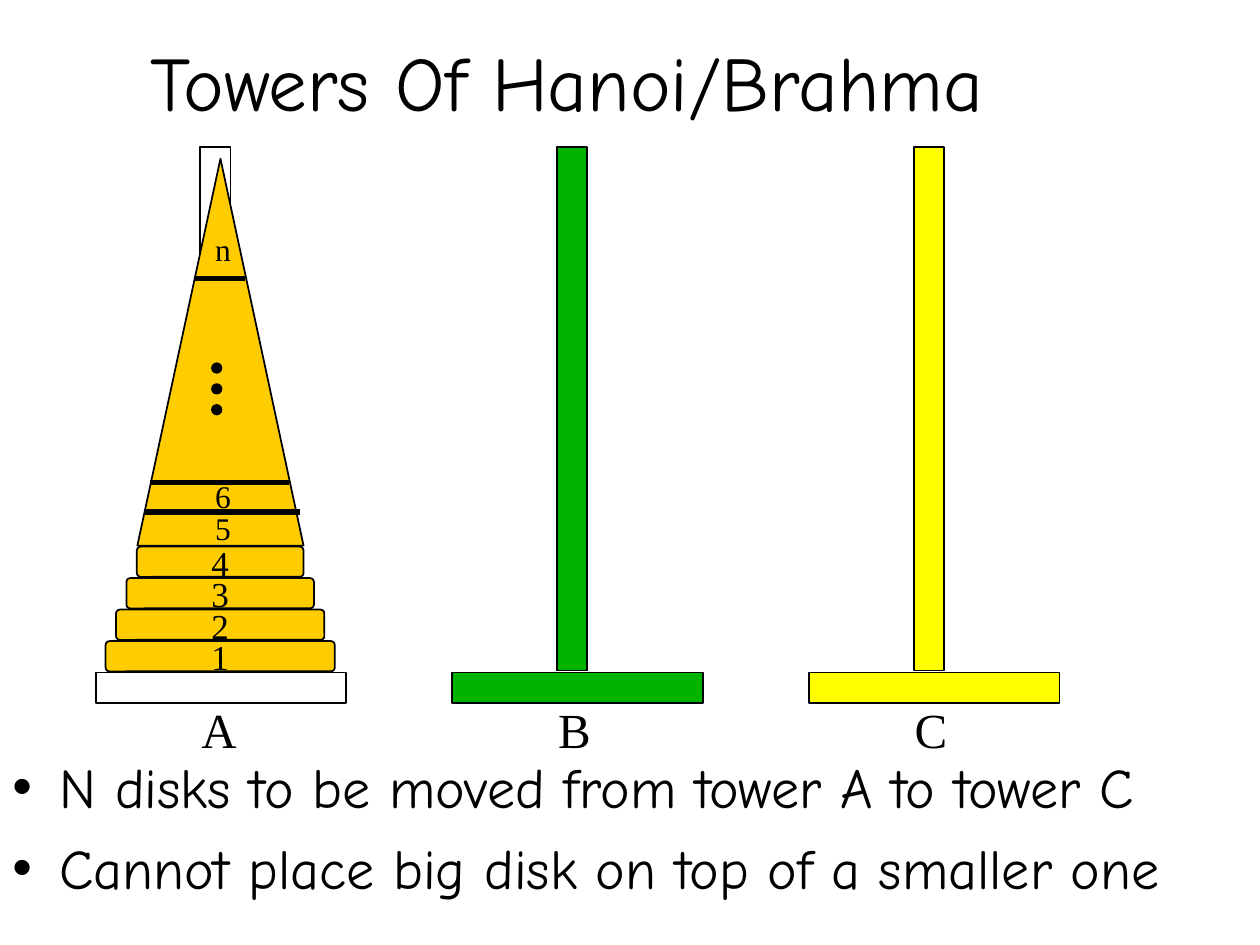
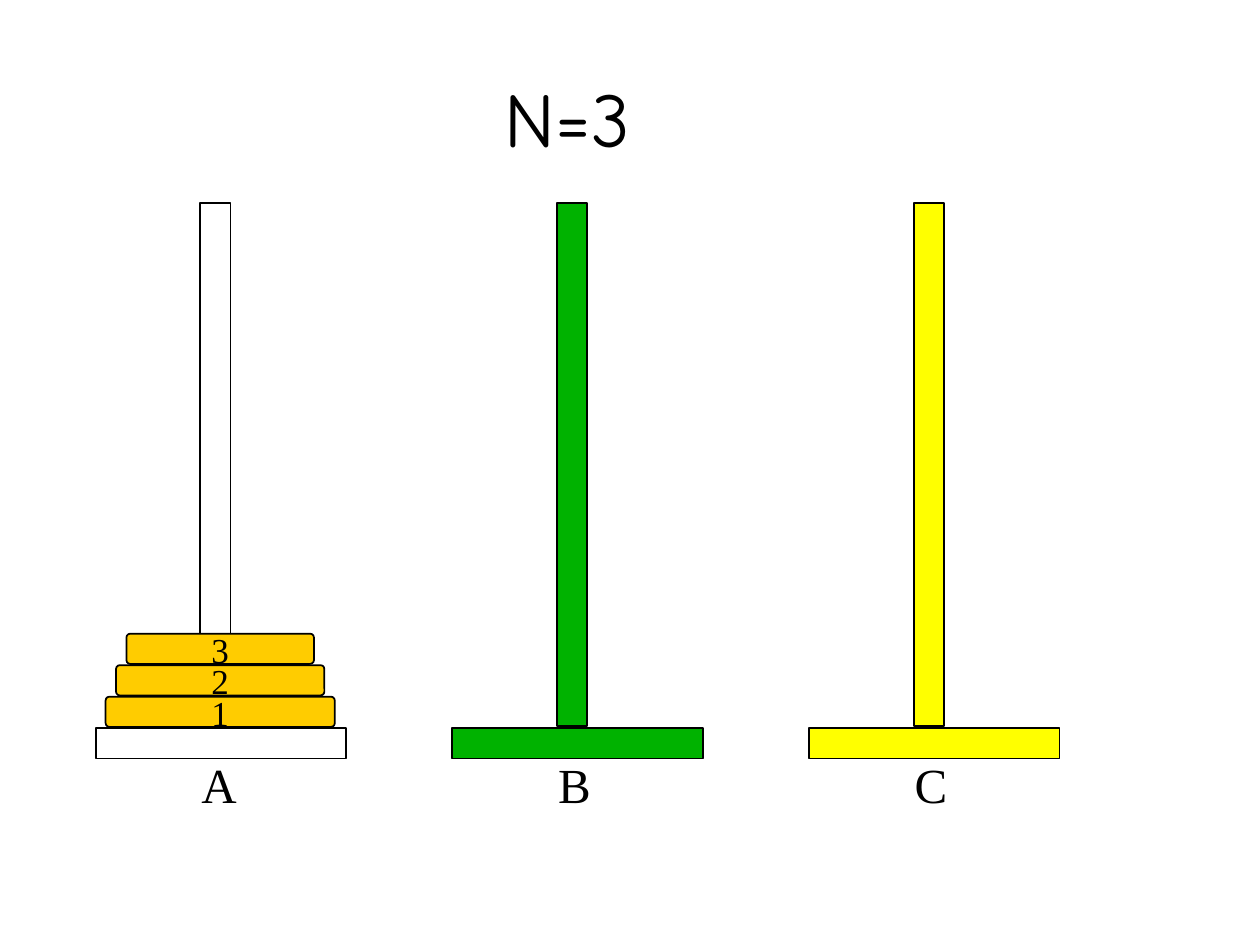
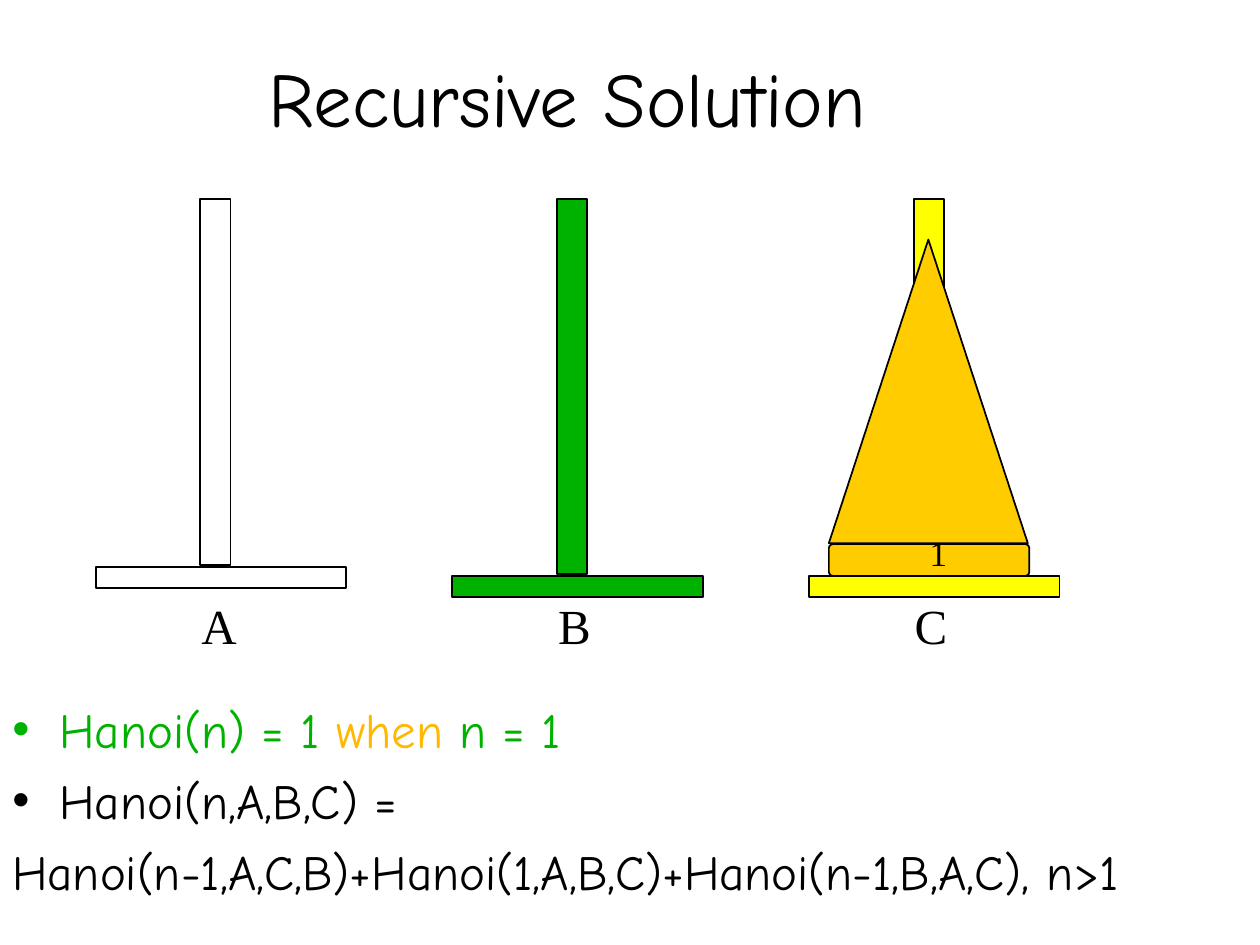
from lxml import etree
from pptx import Presentation
from pptx.dml.color import RGBColor
from pptx.enum.shapes import MSO_CONNECTOR, MSO_SHAPE
from pptx.enum.text import MSO_ANCHOR, PP_ALIGN
from pptx.oxml.ns import qn
from pptx.util import Cm, Pt

RECTANGLE = MSO_SHAPE.RECTANGLE
ROUNDED = MSO_SHAPE.ROUNDED_RECTANGLE
TRIANGLE = MSO_SHAPE.ISOSCELES_TRIANGLE
OVAL = MSO_SHAPE.OVAL
STRAIGHT = MSO_CONNECTOR.STRAIGHT
CENTER = PP_ALIGN.CENTER
TOP, BOTTOM = MSO_ANCHOR.TOP, MSO_ANCHOR.BOTTOM

BLACK = RGBColor(0x00, 0x00, 0x00)
WHITE = RGBColor(0xFF, 0xFF, 0xFF)
GREEN = RGBColor(0x00, 0xB2, 0x00)
YELLOW = RGBColor(0xFF, 0xFF, 0x00)
GOLD = RGBColor(0xFF, 0xCC, 0x00)
AMBER = RGBColor(0xFF, 0xB8, 0x00)

HAND_FONT = "Comic Neue"
LABEL_FONT = "Times New Roman"

TOWERS = (("A", WHITE), ("B", GREEN), ("C", YELLOW))
TOWER_LEFT, TOWER_PITCH = 1.93, 7.19
BASE_WIDTH, PEG_WIDTH = 5.05, 0.61
DISK_CENTER, DISK_HEIGHT, DISK_PITCH = 4.44, 0.61, 0.635


def add_figure(slide, kind, left, top, width, height, fill, line_width=1):
    """Draw a filled, black-outlined preset shape, measured in centimetres."""
    figure = slide.shapes.add_shape(kind, Cm(left), Cm(top), Cm(width), Cm(height))
    figure.shadow.inherit = False
    figure.fill.solid()
    figure.fill.fore_color.rgb = fill
    figure.line.color.rgb = BLACK
    figure.line.width = Pt(line_width)
    return figure


def add_frame(slide, left, top, width, height, anchor=TOP):
    """Place an empty wrapping text box and return its text frame."""
    frame = slide.shapes.add_textbox(Cm(left), Cm(top), Cm(width), Cm(height)).text_frame
    frame.word_wrap = True
    frame.vertical_anchor = anchor
    return frame


def set_font(font, name, size, color=BLACK):
    """Set typeface, point size and colour."""
    font.name = name
    font.size = Pt(size)
    font.color.rgb = color


def add_label(slide, text, left, top, width, height, size):
    """Write a short serif label."""
    paragraph = add_frame(slide, left, top, width, height).paragraphs[0]
    paragraph.text = text
    set_font(paragraph.font, LABEL_FONT, size)


def add_title(slide, text, height):
    """Write the slide title, resting on the bottom of its box."""
    paragraph = add_frame(slide, 1.9, 0.43, 19.08, height, BOTTOM).paragraphs[0]
    paragraph.text = text
    paragraph.alignment = CENTER
    set_font(paragraph.font, HAND_FONT, 44)


def add_bullet(paragraph):
    """Give a paragraph a hanging round bullet."""
    properties = paragraph._p.get_or_add_pPr()
    properties.set("marL", str(Cm(0.95)))
    properties.set("indent", str(-Cm(0.95)))
    etree.SubElement(properties, qn("a:buFont")).set("typeface", "Arial")
    etree.SubElement(properties, qn("a:buChar")).set("char", "•")


def add_body(slide, top, width, height, size, entries):
    """Write body paragraphs given as (bulleted, ((text, colour), ...))."""
    frame = add_frame(slide, 0, top, width, height)
    for index, (bulleted, pieces) in enumerate(entries):
        paragraph = frame.add_paragraph() if index else frame.paragraphs[0]
        if bulleted:
            add_bullet(paragraph)
        if index:
            paragraph.space_before = Pt(size / 4)
        set_font(paragraph.font, HAND_FONT, size, pieces[0][1])
        for text, color in pieces:
            run = paragraph.add_run()
            run.text = text
            if color != pieces[0][1]:
                run.font.color.rgb = color


def add_tower(slide, index, peg_top, base_top, base_height, label_top):
    """Draw one tower: base, peg and letter."""
    letter, color = TOWERS[index]
    left = TOWER_LEFT + index * TOWER_PITCH
    add_figure(slide, RECTANGLE, left, base_top, BASE_WIDTH, base_height, color)
    add_figure(slide, RECTANGLE, left + 2.11, peg_top, PEG_WIDTH,
               base_top - 0.04 - peg_top, color)
    add_label(slide, letter, left + 1.88, label_top, 2.54, 1.45, 28)


def add_disk(slide, left, top, width, height):
    """Draw one rounded disk."""
    add_figure(slide, ROUNDED, left, top, width, height, GOLD).adjustments[0] = 0.125


def add_disk_stack(slide, count, base_top):
    """Stack numbered, shrinking disks on tower A."""
    for level in range(count):
        width = 4.62 - 0.42 * level
        top = base_top - DISK_PITCH * (level + 1)
        add_disk(slide, DISK_CENTER - width / 2, top, width, DISK_HEIGHT)
        add_label(slide, str(level + 1), 4.01, top - 0.23, 1.91, 1.09, 20)


def add_divider(slide, left, right, y):
    """Draw a thick horizontal line across the pile."""
    divider = slide.shapes.add_connector(STRAIGHT, Cm(left), Cm(y), Cm(right), Cm(y))
    divider.line.color.rgb = BLACK
    divider.line.width = Pt(3)
    etree.SubElement(divider._element.spPr, qn("a:effectLst"))


def build_problem(slide):
    """Show the general puzzle with n disks and its rules."""
    add_title(slide, "Towers Of Hanoi/Brahma", 2.26)
    for index in range(len(TOWERS)):
        add_tower(slide, index, 2.97, 13.56, 0.61, 13.97)
    add_disk_stack(slide, 4, 13.56)
    add_figure(slide, TRIANGLE, 2.77, 3.2, 3.35, 7.8, GOLD)
    add_body(slide, 15.04, 26.04, 4.01, 32, (
        (True, (("N disks to be moved from tower A to tower C", BLACK),)),
        (True, (("Cannot place big disk on top of a smaller one", BLACK),)),
    ))
    for left, right, y in ((2.9, 6.05, 10.32), (3.02, 5.82, 9.72), (3.94, 4.93, 5.61)):
        add_divider(slide, left, right, y)
    for step in range(3):
        add_figure(slide, OVAL, 4.27, 7.32 + 0.42 * step, 0.2, 0.2, BLACK, 0.75)
    for text, top in (("5", 10.13), ("6", 9.5), ("n", 4.52)):
        add_label(slide, text, 4.09, top, 1.6, 1.02, 18)


def build_three_disks(slide):
    """Show the starting position with three disks."""
    add_title(slide, "N=3", 2.97)
    for index in range(len(TOWERS)):
        add_tower(slide, index, 4.09, 14.68, 0.61, 15.09)
    add_disk_stack(slide, 3, 14.68)


def build_recursion(slide):
    """Show the solved puzzle and the recurrence."""
    add_title(slide, "Recursive Solution", 2.57)
    for index, base_top in enumerate((11.43, 11.61, 11.61)):
        add_tower(slide, index, 4.01, base_top, 0.43, 11.89)
    add_disk(slide, 16.71, 10.97, 4.04, 0.64)
    add_label(slide, "1", 18.49, 10.59, 1.68, 1.14, 20)
    add_figure(slide, TRIANGLE, 16.71, 4.83, 4.01, 6.12, GOLD)
    add_body(slide, 13.97, 25.4, 1.73, 28, (
        (True, (("Hanoi(n) = 1 ", GREEN), ("when ", AMBER), ("n = 1", GREEN))),
        (True, (("Hanoi(n,A,B,C) =", BLACK),)),
        (False, (("Hanoi(n-1,A,C,B)+Hanoi(1,A,B,C)+Hanoi(n-1,B,A,C), n>1", BLACK),)),
    ))


def main():
    """Build the presentation and save it."""
    presentation = Presentation()
    presentation.slide_width = Cm(25.4)
    presentation.slide_height = Cm(19.05)
    blank = presentation.slide_layouts[6]
    for build in (build_problem, build_three_disks, build_recursion):
        build(presentation.slides.add_slide(blank))
    presentation.save("out.pptx")


if __name__ == "__main__":
    main()
